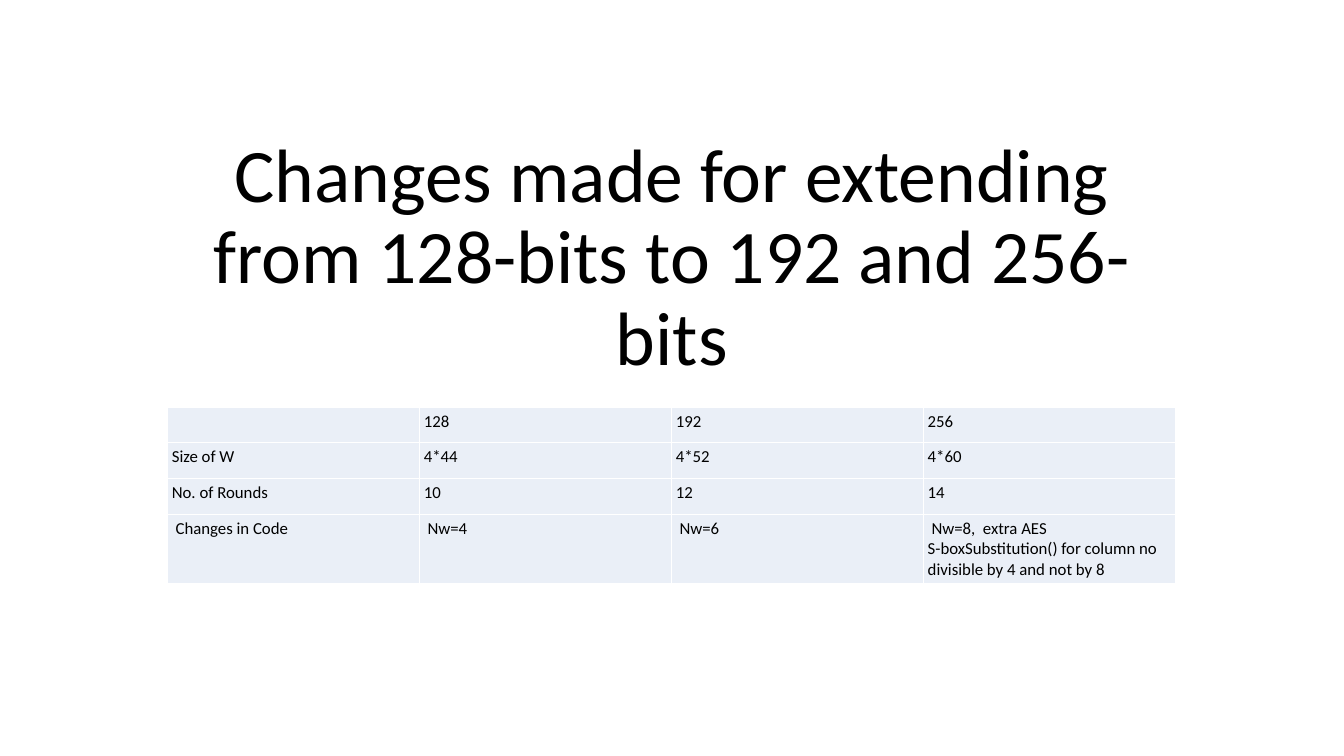
from lxml import etree
from pptx import Presentation
from pptx.dml.color import RGBColor
from pptx.enum.text import MSO_ANCHOR, MSO_AUTO_SIZE, PP_ALIGN
from pptx.oxml.ns import qn
from pptx.util import Cm, Pt

TITLE = "Changes made for extending from 128-bits to 192 and 256-bits"
ROWS = [
    ("", "128", "192", "256"),
    ("Size of W", "4*44", "4*52", "4*60"),
    ("No. of Rounds", "10", "12", "14"),
    (" Changes in Code", " Nw=4", " Nw=6",
     " Nw=8,  extra AES\nS-boxSubstitution() for column no divisible by 4 and not by 8"),
]

BLACK = RGBColor(0x00, 0x00, 0x00)
WHITE = RGBColor(0xFF, 0xFF, 0xFF)
PALE_BLUE = RGBColor(0xEA, 0xEF, 0xF7)
FONT = "Calibri"

LEFT, WIDTH = Cm(4.23), Cm(25.4)
TITLE_TOP, TITLE_HEIGHT = Cm(3.12), Cm(6.63)
TABLE_TOP = Cm(10.26)
ROW_HEIGHTS = [Cm(0.9)] * 3 + [Cm(1.74)]
CELL_MARGIN = Cm(0.1)


def format_font(font, size):
    for name, value in {"name": FONT, "size": Pt(size), "bold": False}.items():
        setattr(font, name, value)
    font.color.rgb = BLACK


def add_borders(cell, color, width):
    """Draw all four cell borders; they must precede the fill in the XML."""
    properties = cell._tc.get_or_add_tcPr()
    for index, side in enumerate(("lnL", "lnR", "lnT", "lnB")):
        line = etree.Element(qn(f"a:{side}"), w=str(width))
        fill = etree.SubElement(line, qn("a:solidFill"))
        etree.SubElement(fill, qn("a:srgbClr"), val=str(color))
        properties.insert(index, line)


def add_title(slide):
    title = slide.shapes.title
    title.left, title.top = LEFT, TITLE_TOP
    title.width, title.height = WIDTH, TITLE_HEIGHT
    frame = title.text_frame
    frame.text = TITLE
    frame.word_wrap = True
    frame.auto_size = MSO_AUTO_SIZE.NONE
    frame.vertical_anchor = MSO_ANCHOR.BOTTOM
    paragraph = frame.paragraphs[0]
    paragraph.alignment = PP_ALIGN.CENTER
    paragraph.line_spacing = 0.9
    format_font(paragraph.runs[0].font, 54)


def format_cell(cell, text):
    cell.text = text
    for side in ("left", "right", "top", "bottom"):
        setattr(cell, f"margin_{side}", CELL_MARGIN)
    cell.fill.solid()
    cell.fill.fore_color.rgb = PALE_BLUE
    add_borders(cell, WHITE, Pt(1))
    for paragraph in cell.text_frame.paragraphs:
        if not paragraph.runs:
            paragraph.font.size = Pt(12)
        for run in paragraph.runs:
            format_font(run.font, 12)


def add_key_size_table(slide):
    column_count = len(ROWS[0])
    table = slide.shapes.add_table(
        len(ROWS), column_count, LEFT, TABLE_TOP, WIDTH, sum(ROW_HEIGHTS)
    ).table
    table.first_row = table.horz_banding = False
    for column in table.columns:
        column.width = WIDTH // column_count
    for row, height, texts in zip(table.rows, ROW_HEIGHTS, ROWS):
        row.height = height
        for cell, text in zip(row.cells, texts):
            format_cell(cell, text)


def main():
    presentation = Presentation()
    presentation.slide_width, presentation.slide_height = Cm(33.87), Cm(19.05)
    slide = presentation.slides.add_slide(presentation.slide_layouts[5])
    add_title(slide)
    add_key_size_table(slide)
    presentation.save("out.pptx")


if __name__ == "__main__":
    main()
